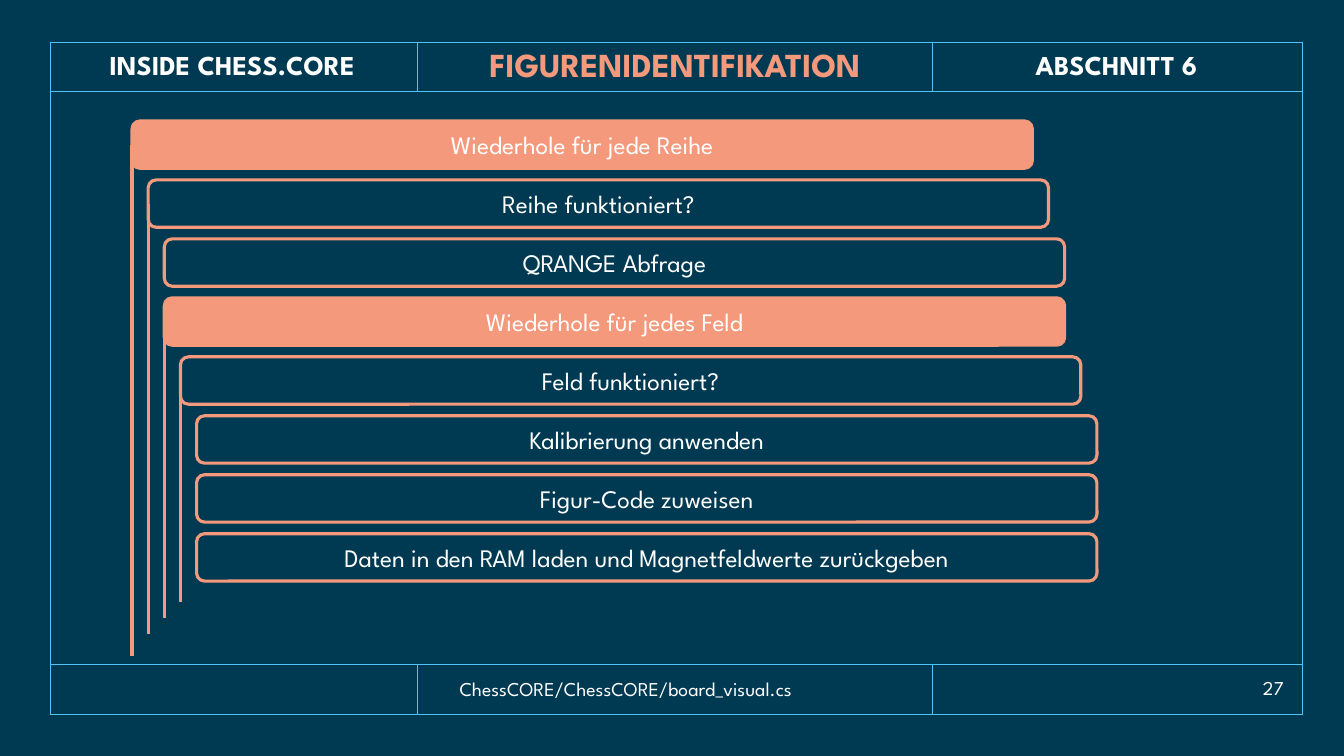
from lxml.etree import SubElement
from pptx import Presentation
from pptx.dml.color import RGBColor
from pptx.enum.shapes import MSO_CONNECTOR as Conn, MSO_SHAPE as Shape
from pptx.enum.text import MSO_ANCHOR as Anchor, PP_ALIGN as Align
from pptx.oxml.ns import qn
from pptx.util import Inches, Pt

NAVY = RGBColor(0x00, 0x3A, 0x52)
SKY = RGBColor(0x51, 0xC3, 0xF9)
CORAL = RGBColor(0xF4, 0x99, 0x7C)
WHITE = RGBColor(0xFF, 0xFF, 0xFF)
FONT = "League Spartan"

WIDE, HIGH = 13.33, 7.5
LEFT, RIGHT, TOP, BASE = 0.5, 12.92, 0.42, 7.09
HEAD, FOOT = 0.91, 6.59
SPLITS = (4.14, 9.25)

LABELS = [
    ("INSIDE CHESS.CORE", (0.48, 0.41, 3.65, 0.5), 19.5, WHITE, True, Align.CENTER),
    ("FIGURENIDENTIFIKATION", (4.15, 0.43, 5.09, 0.47), 24, CORAL, True, Align.CENTER),
    ("ABSCHNITT 6", (9.25, 0.41, 3.65, 0.5), 19.5, WHITE, True, Align.CENTER),
    ("ChessCORE/ChessCORE/board_visual.cs", (4.46, 6.66, 4.78, 0.34), 14, WHITE, False, Align.LEFT),
    ("27", (11.91, 6.67, 0.92, 0.3), 14, WHITE, False, Align.RIGHT),
]

# text, level, filled, end of rail
STEPS = [
    ("Wiederhole für jede Reihe", 0, True, 6.51),
    ("Reihe funktioniert?", 1, False, 6.29),
    ("QRANGE Abfrage", 2, False, None),
    ("Wiederhole für jedes Feld", 2, True, 6.13),
    ("Feld funktioniert?", 3, False, 5.97),
    ("Kalibrierung anwenden", 4, False, None),
    ("Figur-Code zuweisen", 4, False, None),
    ("Daten in den RAM laden und Magnetfeldwerte zurückgeben", 4, False, None),
]
BAR_X, BAR_Y, BAR_W, BAR_H = 1.31, 1.2, 8.93, 0.47
INDENT, PITCH = 0.16, 0.585


def write(shape, text, size, color, bold, align):
    frame = shape.text_frame
    frame.word_wrap = True
    frame.vertical_anchor = Anchor.MIDDLE
    frame.text = text
    par = frame.paragraphs[0]
    par.alignment = align
    if bold:
        par.line_spacing = 0.9
    font = par.runs[0].font
    font.name, font.size, font.bold = FONT, Pt(size), bold
    font.color.rgb = color


def box(slide, kind, area, fill, color, width):
    shape = slide.shapes.add_shape(kind, *map(Inches, area))
    shape.shadow.inherit = False
    if fill is None:
        shape.fill.background()
    else:
        shape.fill.solid()
        shape.fill.fore_color.rgb = fill
    shape.line.color.rgb = color
    shape.line.width = Pt(width)
    return shape


def rule(slide, x1, y1, x2, y2, color, width):
    line = slide.shapes.add_connector(Conn.STRAIGHT, *map(Inches, (x1, y1, x2, y2)))
    line.line.color.rgb = color
    line.line.width = Pt(width)
    SubElement(line._element.spPr, qn("a:effectLst"))
    return line


def main():
    """Build the slide on figure identification."""
    deck = Presentation()
    deck.slide_width, deck.slide_height = Inches(WIDE), Inches(HIGH)
    slide = deck.slides.add_slide(deck.slide_layouts[6])
    slide.background.fill.solid()
    slide.background.fill.fore_color.rgb = NAVY

    box(slide, Shape.RECTANGLE, (LEFT, TOP, RIGHT - LEFT, BASE - TOP), None, SKY, 1)
    for y in (HEAD, FOOT):
        rule(slide, LEFT, y, RIGHT, y, SKY, 1)
    for x in SPLITS:
        for y1, y2 in ((TOP, HEAD), (FOOT, BASE)):
            rule(slide, x, y1, x, y2, SKY, 1)

    for text, area, *style in LABELS:
        write(slide.shapes.add_textbox(*map(Inches, area)), text, *style)

    for row, (text, level, full, end) in enumerate(STEPS):
        x, y = BAR_X + level * INDENT, BAR_Y + row * PITCH
        bar = box(slide, Shape.ROUNDED_RECTANGLE, (x, y, BAR_W, BAR_H),
                  CORAL if full else NAVY, CORAL, 2.25)
        write(bar, text, 18, WHITE, False, Align.CENTER)
        if end:
            rail = rule(slide, x, y + BAR_H / 2, x, end, CORAL, 2.25)
            rail.begin_connect(bar, 1)

    deck.save("out.pptx")


if __name__ == "__main__":
    main()
